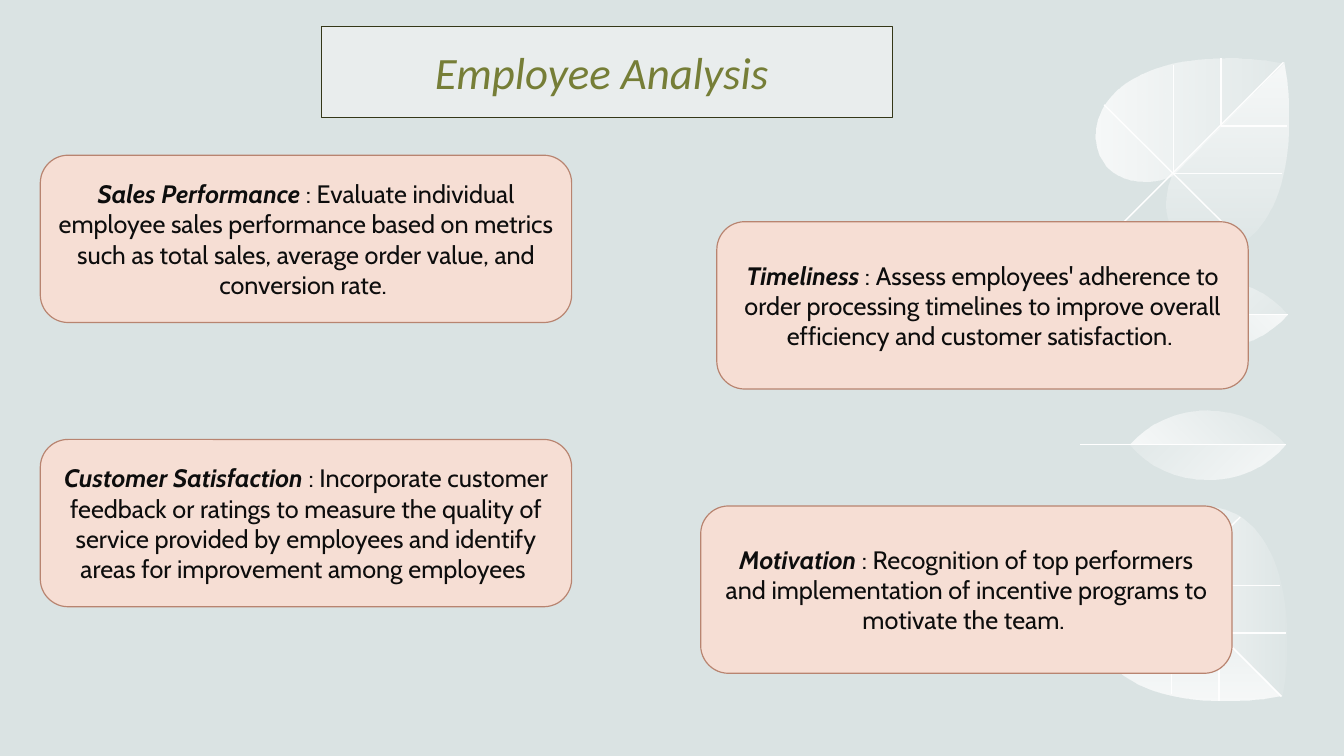
from math import cos, radians, sin

from lxml.etree import SubElement
from pptx import Presentation
from pptx.dml.color import RGBColor
from pptx.enum.shapes import MSO_CONNECTOR, MSO_SHAPE as SHAPE
from pptx.enum.text import MSO_ANCHOR as ANCHOR, PP_ALIGN as ALIGN
from pptx.oxml.ns import qn
from pptx.util import Inches, Pt

BACKGROUND = RGBColor(0xDA, 0xE3, 0xE3)
WHITE = RGBColor(0xFF, 0xFF, 0xFF)
TITLE_FILL = RGBColor(0xE9, 0xED, 0xED)
TITLE_LINE = RGBColor(0x34, 0x37, 0x18)
TITLE_TEXT = RGBColor(0x76, 0x7E, 0x37)
CARD_FILL = RGBColor(0xF6, 0xDE, 0xD4)
CARD_LINE = RGBColor(0xB8, 0x84, 0x70)
CARD_TEXT = RGBColor(0x0D, 0x0D, 0x0D)

CARD_SIZE = (5.27, 1.66)

BIG_LEAF_RIBS = [((2, 0.04), (0.29, 1.75)), ((0.22, 0.46), (1.59, 1.82))]
SMALL_LEAF_STEM = ((0, 2.54), (2.04, 2.54))
BIG_LEAF_VEINS = [
    ((0.91, 0.06, 1.08, 1.08), [[(1.99, 1.14)], [(0.91, 1.14)], [(0.91, 0.06)]]),
    ((1.38, 0, 0.66, 0.66), [[(2.04, 0.67)], [(1.38, 0.67)], [(1.38, 0)]]),
]
LEAF_HALVES = [
    ((0.47, -0.59, 0.98, 1.96), 45, 20, 45,
     [[(2, 0.05)], [(0.89, 1.16)], [(0.78, 1.2)],
      [(0.56, 1.25), (0.38, 1.19), (0.26, 1.08)],
      [(0.25, 1.07), (0.23, 1.05), (0.22, 1.03)],
      [(-0.06, 0.66), (0.28, -0.14), (1.82, 0.02)], [(2, 0.05)]]),
    ((1.17, 0.1, 0.98, 1.96), 45, 10, 315,
     [[(2, 0.04)], [(2.03, 0.22)],
      [(2.19, 1.76), (1.39, 2.11), (1.02, 1.82)],
      [(0.87, 1.72), (0.8, 1.52), (0.86, 1.26)],
      [(0.9, 1.15)], [(0.89, 1.16)], [(2, 0.05)], [(2, 0.04)]]),
    ((1.09, 1.59, 0.35, 1.55), 90, 20, 45,
     [[(1.26, 2.19)], [(0.96, 2.19), (0.68, 2.32), (0.49, 2.54)],
      [(2.04, 2.54), (2.04, 2.54), (2.04, 2.54)],
      [(1.85, 2.32), (1.58, 2.19), (1.26, 2.19)]]),
    ((1.09, 1.93, 0.34, 1.55), 90, 10, 315,
     [[(2.04, 2.54)], [(0.49, 2.54), (0.49, 2.54), (0.49, 2.54)],
      [(0.68, 2.75), (0.96, 2.88), (1.26, 2.88)],
      [(1.58, 2.88), (1.85, 2.75), (2.04, 2.54)]]),
]

CARDS = [
    (0.4, 1.54, "Sales Performance ",
     ": Evaluate individual employee sales performance based on metrics "
     "such as total sales, average order value, and conversion rate. "),
    (6.95, 5.02, "Motivation ",
     ": Recognition of top performers and implementation of incentive "
     "programs to motivate the team. "),
    (0.4, 4.36, "Customer Satisfaction ",
     ": Incorporate customer feedback or ratings to measure the quality of "
     "service provided by employees and identify areas for improvement "
     "among employees "),
    (7.11, 2.2, "Timeliness",
     " : Assess employees' adherence to order processing timelines to "
     "improve overall efficiency and customer satisfaction. "),
]


def add_outline(shapes, frame, rotation, steps, closed):
    """Draw lines and curves, given as seen, in a frame turned by rotation."""
    left, top, width, height = frame
    builder = shapes.build_freeform(Inches(left), Inches(top))
    builder.add_line_segments([(Inches(left + width), Inches(top + height))], close=False)
    sp = builder.convert_to_shape()
    sp.shadow.inherit = False
    sp.rotation = rotation
    outline = next(sp._element.iter(qn("a:path")))
    for child in list(outline):
        outline.remove(child)
    c, s = cos(radians(rotation)), sin(radians(rotation))
    for i, step in enumerate(steps):
        tag = "a:moveTo" if i == 0 else "a:lnTo" if len(step) == 1 else "a:cubicBezTo"
        segment = SubElement(outline, qn(tag))
        for x, y in step:
            dx, dy = x - left - width / 2, y - top - height / 2
            SubElement(segment, qn("a:pt"),
                       x=str(int(Inches(width / 2 + dx * c + dy * s))),
                       y=str(int(Inches(height / 2 - dx * s + dy * c))))
    if closed:
        SubElement(outline, qn("a:close"))
    return sp


def fade(sp, end_opacity, angle):
    """Fill a leaf half from dense to faint white."""
    sp.line.fill.background()
    sp.fill.gradient()
    sp.fill.gradient_angle = angle
    for stop, position in zip(sp.fill.gradient_stops, (0, 1)):
        stop.color.rgb = WHITE
        stop.position = position
    for color, opacity in zip(sp._element.iter(qn("a:srgbClr")), (80, end_opacity)):
        SubElement(color, qn("a:alpha"), val=str(opacity * 1000))


def add_rib(shapes, start, end):
    """Draw one straight white leaf rib."""
    ends = [Inches(v) for v in (*start, *end)]
    rib = shapes.add_connector(MSO_CONNECTOR.STRAIGHT, *ends)
    rib.line.color.rgb = WHITE
    rib.line.width = Pt(1)
    SubElement(rib._element.spPr, qn("a:effectLst"))


def add_leaves(slide, left, base, direction):
    """Draw a big and a small leaf, going down (1) or up (-1) from base."""
    shapes = slide.shapes.add_group_shape().shapes

    def place(points):
        return [(left + x, base + direction * y) for x, y in points]

    def place_frame(frame):
        x, y, width, height = frame
        top = y if direction == 1 else -y - height
        return left + x, base + top, width, height

    for rib in BIG_LEAF_RIBS:
        add_rib(shapes, *place(rib))
    for frame, steps in BIG_LEAF_VEINS:
        sp = add_outline(shapes, place_frame(frame), 270 * direction % 360,
                         [place(step) for step in steps], False)
        sp.fill.background()
        sp.line.color.rgb = WHITE
        sp.line.width = Pt(1)
    for frame, rotation, end_opacity, angle, steps in LEAF_HALVES:
        sp = add_outline(shapes, place_frame(frame), rotation * direction % 360,
                         [place(step) for step in steps], True)
        fade(sp, end_opacity, angle)
    add_rib(shapes, *place(SMALL_LEAF_STEM))


def add_box(slide, kind, box, fill, line):
    """Draw a filled box and return its centred paragraph."""
    sp = slide.shapes.add_shape(kind, *[Inches(v) for v in box])
    sp.shadow.inherit = False
    sp.fill.solid()
    sp.fill.fore_color.rgb = fill
    sp.line.color.rgb = line
    sp.line.width = Pt(0.85)
    tf = sp.text_frame
    tf.word_wrap = True
    tf.vertical_anchor = ANCHOR.MIDDLE
    p = tf.paragraphs[0]
    p.alignment = ALIGN.CENTER
    return p


def add_run(p, text, font, size, color, bold=False, italic=False):
    """Append one formatted run."""
    r = p.add_run()
    r.text = text
    r.font.name = font
    r.font.size = Pt(size)
    r.font.color.rgb = color
    r.font.bold = bold
    r.font.italic = italic


def add_title(slide, box):
    """Draw the framed slide title."""
    p = add_box(slide, SHAPE.RECTANGLE, box, TITLE_FILL, TITLE_LINE)
    add_run(p, "Employee Analysis ", "Calibri", 32, TITLE_TEXT, italic=True)


def add_card(slide, box, heading, body):
    """Draw one rounded card with a heading and its explanation."""
    p = add_box(slide, SHAPE.ROUNDED_RECTANGLE, box, CARD_FILL, CARD_LINE)
    add_run(p, heading, "Cabin", 18, CARD_TEXT, bold=True, italic=True)
    add_run(p, body, "Cabin", 18, CARD_TEXT)


def main():
    """Build the slide and save it."""
    prs = Presentation()
    prs.slide_width, prs.slide_height = Inches(13.33), Inches(7.5)
    slide = prs.slides.add_slide(prs.slide_layouts[6])
    slide.background.fill.solid()
    slide.background.fill.fore_color.rgb = BACKGROUND
    add_leaves(slide, 10.73, 0.58, 1)
    add_leaves(slide, 10.71, 6.95, -1)
    add_title(slide, (3.19, 0.26, 5.66, 0.91))
    for left, top, heading, body in CARDS:
        add_card(slide, (left, top, *CARD_SIZE), heading, body)
    prs.save("out.pptx")


if __name__ == "__main__":
    main()
